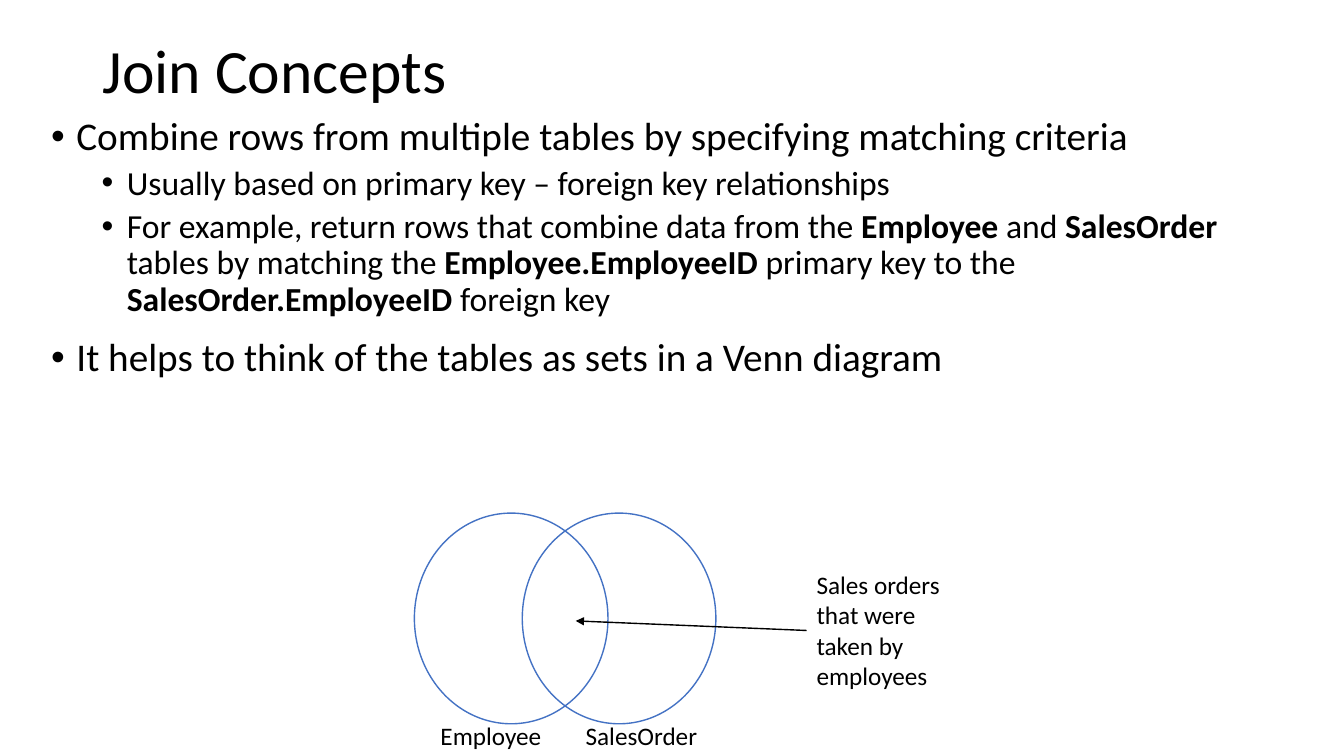
from lxml import etree
from pptx import Presentation
from pptx import util as u
from pptx.dml.color import RGBColor
from pptx.enum import shapes, text
from pptx.oxml.ns import qn

COLORS = {"text": "000000", "circle": "4472C4", "arrow": "000000"}
# Per outline level: font size, left margin in inches, space before
LEVELS = [(28, 0.25, 14), (24, 0.75, 5)]
BULLETS = [
    (0, "Combine rows from multiple tables by specifying matching criteria"),
    (1, "Usually based on primary key – foreign key relationships"),
    (1, "For example, return rows that combine data from the *Employee* and "
        "*SalesOrder* tables by matching the *Employee.EmployeeID* primary key "
        "to the *SalesOrder.EmployeeID* foreign key"),
    (0, "It helps to think of the tables as sets in a Venn diagram"),
]
# Circle left, label left, label width, label
SETS = [(4.11, 4.27, 1.21, "Employee"), (5.18, 5.71, 1.32, "SalesOrder")]


class Deck:
    font = "Calibri"

    def __init__(self):
        self.prs = Presentation()
        self.prs.slide_width = u.Inches(13.33)
        self.prs.slide_height = u.Inches(7.5)
        self.s = self.prs.slides.add_slide(self.prs.slide_layouts[6])

    def color(self, name):
        return RGBColor.from_string(COLORS[name])

    def style_run(self, r, size, bold=False):
        r.font.name = self.font
        r.font.size = u.Pt(size)
        r.font.bold = bold
        r.font.color.rgb = self.color("text")

    def box(self, x, y, w, h, wrap=True):
        sp = self.s.shapes.add_textbox(*map(u.Inches, (x, y, w, h)))
        sp.text_frame.word_wrap = wrap
        return sp

    def label(self, x, y, w, h, words, size=18, wrap=True):
        sp = self.box(x, y, w, h, wrap)
        sp.text_frame.text = words
        self.style_run(sp.text_frame.paragraphs[0].runs[0], size)
        return sp

    def title(self, x, y, w, h, words):
        tf = self.label(x, y, w, h, words, 44).text_frame
        tf.vertical_anchor = text.MSO_ANCHOR.MIDDLE
        tf.paragraphs[0].line_spacing = 0.9

    def bullets(self, x, y, w, h, items):
        """Add a bulleted outline; words between asterisks are bold."""
        tf = self.box(x, y, w, h).text_frame
        for i, (level, words) in enumerate(items):
            p = tf.add_paragraph() if i else tf.paragraphs[0]
            size, margin, before = LEVELS[level]
            p.level = level
            p.line_spacing = 0.9
            p.space_before = u.Pt(before)
            pPr = p._p.get_or_add_pPr()
            pPr.set("marL", str(u.Inches(margin)))
            pPr.set("indent", str(u.Inches(-0.25)))
            etree.SubElement(pPr, qn("a:buFont"), typeface="Arial")
            etree.SubElement(pPr, qn("a:buChar"), char="•")
            for j, part in enumerate(words.split("*")):
                r = p.add_run()
                r.text = part
                self.style_run(r, size, bold=j % 2 == 1)

    def circle(self, x, y, w, h):
        sp = self.s.shapes.add_shape(
            shapes.MSO_SHAPE.OVAL, *map(u.Inches, (x, y, w, h)))
        sp.shadow.inherit = False
        sp.fill.background()
        sp.line.color.rgb = self.color("circle")
        sp.line.width = u.Pt(1)

    def arrow_from(self, source, x, y):
        """Draw an arrow from the left side of source to a point."""
        line = self.s.shapes.add_connector(
            shapes.MSO_CONNECTOR.STRAIGHT, source.left,
            source.top + source.height // 2, u.Inches(x), u.Inches(y))
        line.begin_connect(source, 1)
        line.line.color.rgb = self.color("arrow")
        line.line.width = u.Pt(1)
        etree.SubElement(line.line._get_or_add_ln(), qn("a:tailEnd"),
                         type="triangle")
        etree.SubElement(line._element.spPr, qn("a:effectLst"))


def main():
    deck = Deck()
    deck.title(0.92, 0.2, 11.5, 1.05, "Join Concepts")
    deck.bullets(0.41, 1.11, 12.6, 6.21, BULLETS)
    for circle_x, label_x, label_w, name in SETS:
        deck.circle(circle_x, 5.09, 1.92, 2.09)
        deck.label(label_x, 7.1, label_w, 0.4, name, wrap=False)
    note = deck.label(8, 5.6, 1.75, 1.31,
                      "Sales orders that were taken by employees")
    deck.arrow_from(note, 5.71, 6.16)
    deck.prs.save("out.pptx")


if __name__ == "__main__":
    main()
